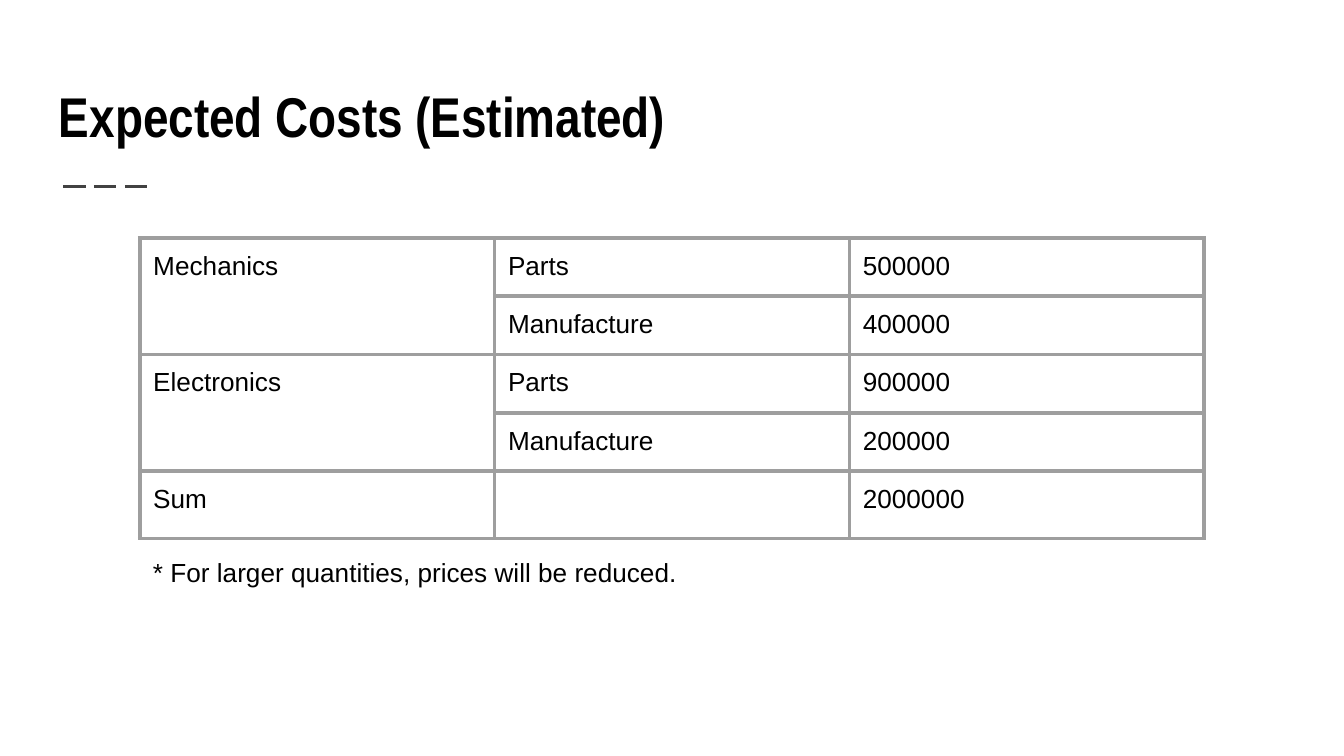
from lxml.etree import SubElement
from pptx import Presentation
from pptx.dml.color import RGBColor
from pptx.enum.dml import MSO_LINE
from pptx.enum.shapes import MSO_CONNECTOR
from pptx.enum.text import MSO_ANCHOR
from pptx.oxml.ns import qn
from pptx.util import Inches, Pt

TITLE = "Expected Costs (Estimated)"
COSTS = [
    ("Mechanics", "Parts", "500000"),
    ("", "Manufacture", "400000"),
    ("Electronics", "Parts", "900000"),
    ("", "Manufacture", "200000"),
    ("Sum", "", "2000000"),
]
GROUP_ROWS = [0, 2]  # first row of each two-row group
NOTE = "* For larger quantities, prices will be reduced."

BLACK, RULE, GRID = "000000", "424242", "9E9E9E"
SLIDE_W = 10
LEFT, TABLE_TOP, COL_W, ROW_H = 1.04, 1.77, 2.64, 0.42
MARGIN = Inches(0.1)


def rgb(value):
    return RGBColor.from_string(value)


def set_margins(target):
    """Give a cell or a text frame the same margin on all sides."""
    target.margin_left = target.margin_right = MARGIN
    target.margin_top = target.margin_bottom = MARGIN


def write(tf, text, size=14, font="Arial", color=BLACK, bold=False):
    r = tf.paragraphs[0].add_run()
    r.text = text
    r.font.size, r.font.name, r.font.bold = Pt(size), font, bold
    r.font.color.rgb = rgb(color)


def add_text(s, box, text, anchor=MSO_ANCHOR.TOP, **fmt):
    tf = s.shapes.add_textbox(*map(Inches, box)).text_frame
    tf.word_wrap = True
    tf.vertical_anchor = anchor
    set_margins(tf)
    write(tf, text, **fmt)


def add_borders(cell, color, width):
    tcPr = cell._tc.get_or_add_tcPr()
    for side in ("a:lnL", "a:lnR", "a:lnT", "a:lnB"):
        ln = SubElement(tcPr, qn(side), w=str(Pt(width)))
        fill = SubElement(ln, qn("a:solidFill"))
        SubElement(fill, qn("a:srgbClr"), val=color)


def add_rule(s):
    line = s.shapes.add_connector(
        MSO_CONNECTOR.STRAIGHT, Inches(0.47), Inches(1.39), Inches(1.14), Inches(1.39))
    line.line.color.rgb = rgb(RULE)
    line.line.width = Pt(1.5)
    line.line.dash_style = MSO_LINE.LONG_DASH
    SubElement(line._element.spPr, qn("a:effectLst"))


def add_cost_table(s):
    n_rows, n_cols = len(COSTS), len(COSTS[0])
    table = s.shapes.add_table(
        n_rows, n_cols, Inches(LEFT), Inches(TABLE_TOP),
        Inches(COL_W * n_cols), Inches(ROW_H * n_rows)).table
    table.first_row = table.horz_banding = False
    for col in table.columns:
        col.width = Inches(COL_W)
    for i, values in enumerate(COSTS):
        table.rows[i].height = Inches(ROW_H)
        for j, value in enumerate(values):
            cell = table.cell(i, j)
            set_margins(cell)
            add_borders(cell, GRID, 2.25)
            cell.fill.background()
            if value:
                write(cell.text_frame, value)
    for i in GROUP_ROWS:
        table.cell(i, 0).merge(table.cell(i + 1, 0))


def main():
    prs = Presentation()
    prs.slide_width, prs.slide_height = Inches(SLIDE_W), Inches(SLIDE_W * 9 / 16)
    s = prs.slides.add_slide(prs.slide_layouts[6])
    add_rule(s)
    add_text(s, (0.34, 0.41, 9.32, 0.8), TITLE, anchor=MSO_ANCHOR.BOTTOM,
             size=30, font="Arial Narrow", bold=True)
    add_cost_table(s)
    add_text(s, (LEFT, 4.04, 8.04, 0.94), NOTE)
    prs.save("out.pptx")


if __name__ == "__main__":
    main()
